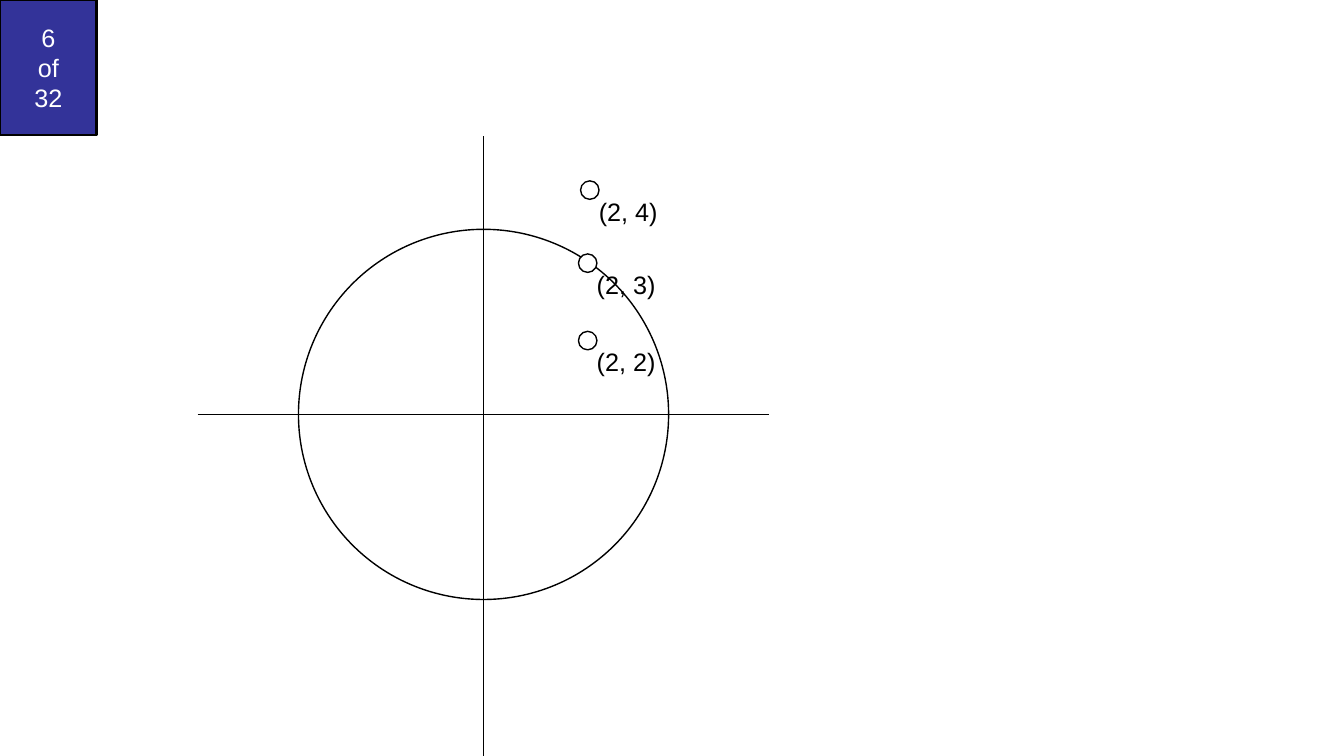
import pptx
import pptx.util
import pptx.dml.color
import pptx.enum.shapes
import pptx.enum.text
import pptx.oxml.ns
from lxml import etree

Pt = pptx.util.Pt
OVAL = pptx.enum.shapes.MSO_SHAPE.OVAL
RECTANGLE = pptx.enum.shapes.MSO_SHAPE.RECTANGLE
STRAIGHT = pptx.enum.shapes.MSO_CONNECTOR.STRAIGHT
ALIGN = pptx.enum.text.PP_ALIGN
ANCHOR = pptx.enum.text.MSO_ANCHOR

# Content: label and marker centre of each point, in drawing order
PAGE_COUNTER = "6\nof\n32"
POINTS = [
    ("(2, 3)", 419.8, 188),
    ("(2, 4)", 421.3, 135.8),
    ("(2, 2)", 419.8, 243.3),
]

# Geometry in points
SLIDE_SIZE = (960, 540)
COUNTER_SIZE = (69.2, 96.4)
CENTRE_X, CENTRE_Y, RADIUS = 345.4, 296, 132.2
AXES = [
    (CENTRE_X, 97.2, CENTRE_X, 549.2),
    (141.2, CENTRE_Y, 549.2, CENTRE_Y),
]
MARKER_RADIUS = 6.6
LABEL_SIZE = (57, 28.8)

THEME = {
    "font": "Arial",
    "size": 18,
    "ink": "000000",
    "paper": "FFFFFF",
    "counter": "333399",
}


def color(name):
    return pptx.dml.color.RGBColor.from_string(THEME[name])


def write(shape, text, ink="ink", align=ALIGN.LEFT, anchor=ANCHOR.TOP, wrap=False):
    frame = shape.text_frame
    frame.word_wrap = wrap
    frame.vertical_anchor = anchor
    paragraph = frame.paragraphs[0]
    paragraph.text = text.replace("\n", "\v")
    paragraph.alignment = align
    for run in paragraph.runs:
        run.font.name = THEME["font"]
        run.font.size = Pt(THEME["size"])
        run.font.color.rgb = color(ink)


def add_outlined(shapes, kind, left, top, width, height, fill=None, line_width=1):
    shape = shapes.add_shape(kind, Pt(left), Pt(top), Pt(width), Pt(height))
    shape.shadow.inherit = False
    if fill:
        shape.fill.solid()
        shape.fill.fore_color.rgb = color(fill)
    else:
        shape.fill.background()
    shape.line.color.rgb = color("ink")
    shape.line.width = Pt(line_width)
    return shape


def add_circle(shapes, x, y, radius, fill=None):
    return add_outlined(shapes, OVAL, x - radius, y - radius, 2 * radius, 2 * radius, fill)


def add_axis(shapes, *ends):
    axis = shapes.add_connector(STRAIGHT, *[Pt(value) for value in ends])
    axis.line.color.rgb = color("ink")
    axis.line.width = Pt(1)
    properties = axis._element.spPr
    etree.SubElement(properties, pptx.oxml.ns.qn("a:effectLst"))


def add_point(shapes, label, x, y):
    group = shapes.add_group_shape()
    width, height = LABEL_SIZE
    box = group.shapes.add_textbox(Pt(x - 0.7), Pt(y + 0.6), Pt(width), Pt(height))
    write(box, label)
    box.text_frame.auto_size = pptx.enum.text.MSO_AUTO_SIZE.SHAPE_TO_FIT_TEXT
    add_circle(group.shapes, x, y, MARKER_RADIUS, "paper")


def main():
    presentation = pptx.Presentation()
    presentation.slide_width, presentation.slide_height = map(Pt, SLIDE_SIZE)
    slide = presentation.slides.add_slide(presentation.slide_layouts[6])
    shapes = slide.shapes

    # Page counter
    counter = add_outlined(shapes, RECTANGLE, 0, 0, *COUNTER_SIZE, "counter", 2)
    write(counter, PAGE_COUNTER, ink="paper", align=ALIGN.CENTER,
          anchor=ANCHOR.MIDDLE, wrap=True)

    # Circle and axes
    add_circle(shapes, CENTRE_X, CENTRE_Y, RADIUS)
    for ends in AXES:
        add_axis(shapes, *ends)

    # Labelled points
    for label, x, y in POINTS:
        add_point(shapes, label, x, y)

    presentation.save("out.pptx")


if __name__ == "__main__":
    main()
